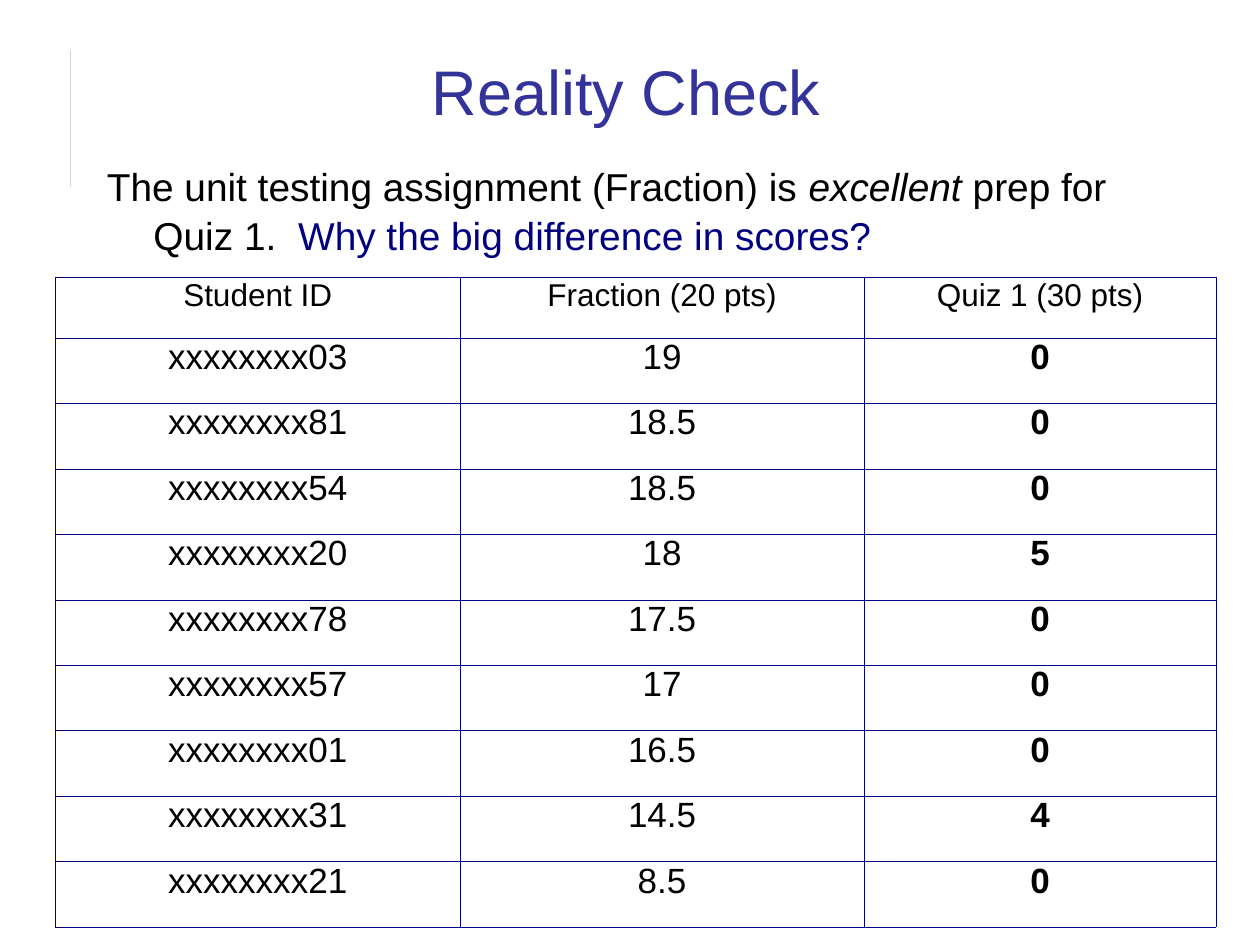
"""Build the Reality Check slide with its table of student scores."""
import pptx
import pptx.util
import pptx.dml.color
import pptx.enum.shapes
import pptx.enum.text
import pptx.oxml.ns
import lxml.etree

Inches = pptx.util.Inches
Pt = pptx.util.Pt
RGBColor = pptx.dml.color.RGBColor
Align = pptx.enum.text.PP_ALIGN
Anchor = pptx.enum.text.MSO_ANCHOR
qn = pptx.oxml.ns.qn

BLACK = RGBColor(0x00, 0x00, 0x00)
NAVY = RGBColor(0x00, 0x00, 0x80)
INDIGO = RGBColor(0x33, 0x33, 0x99)
GRAY = RGBColor(0x80, 0x80, 0x80)


def add_run(para, text, size, color=BLACK, bold=False, italic=False):
    run = para.add_run()
    run.text = text
    font = run.font
    font.name = "Arial"
    font.size = Pt(size)
    font.color.rgb = color
    font.bold = bold
    font.italic = italic


def add_edge(cell, side):
    props = cell._tc.get_or_add_tcPr()
    edge = lxml.etree.SubElement(props, qn(f"a:ln{side}"), w=str(Pt(0.06)))
    fill = lxml.etree.SubElement(edge, qn("a:solidFill"))
    lxml.etree.SubElement(fill, qn("a:srgbClr"), val=str(NAVY))


deck = pptx.Presentation()
deck.slide_width = Inches(10)
deck.slide_height = Inches(7.5)
slide = deck.slides.add_slide(deck.slide_layouts[6])
shapes = slide.shapes

rule = shapes.add_shape(
    pptx.enum.shapes.MSO_SHAPE.RECTANGLE,
    Inches(0.56), Inches(0.4), Inches(0), Inches(1.08))
rule.shadow.inherit = False
rule.fill.solid()
rule.fill.fore_color.rgb = GRAY
rule.line.fill.background()

title = shapes.add_textbox(
    Inches(0.67), Inches(0.28), Inches(8.6), Inches(0.88)).text_frame
title.word_wrap = True
title.vertical_anchor = Anchor.MIDDLE
para = title.paragraphs[0]
para.alignment = Align.CENTER
add_run(para, "Reality Check", 36, INDIGO)

body = shapes.add_textbox(
    Inches(0.74), Inches(1.22), Inches(8.6), Inches(0.88)).text_frame
body.word_wrap = True
para = body.paragraphs[0]
para.line_spacing = 1.05
props = para._p.get_or_add_pPr()
props.set("marL", str(Inches(0.38)))
props.set("indent", str(Inches(-0.37)))
add_run(para, "The unit testing assignment (Fraction) is ", 22.2)
add_run(para, "excellent", 22.2, italic=True)
add_run(para, " prep for Quiz 1.  ", 22.2)
add_run(para, "Why the big difference in scores?", 22.2, NAVY)

scores = [
    ("Student ID", "Fraction (20 pts)", "Quiz 1 (30 pts)"),
    ("xxxxxxxx03", "19", "0"),
    ("xxxxxxxx81", "18.5", "0"),
    ("xxxxxxxx54", "18.5", "0"),
    ("xxxxxxxx20", "18", "5"),
    ("xxxxxxxx78", "17.5", "0"),
    ("xxxxxxxx57", "17", "0"),
    ("xxxxxxxx01", "16.5", "0"),
    ("xxxxxxxx31", "14.5", "4"),
    ("xxxxxxxx21", "8.5", "0"),
]
table = shapes.add_table(
    len(scores), 3, Inches(0.44), Inches(2.2), Inches(9.2), Inches(5.16)).table
table.first_row = False
table.horz_banding = False
for col, width in zip(table.columns, (3.21, 3.21, 2.79)):
    col.width = Inches(width)

for r, row in enumerate(scores):
    table.rows[r].height = Inches(0.52 if r else 0.48)
    for c, text in enumerate(row):
        cell = table.cell(r, c)
        for side in "LRTB":
            add_edge(cell, side)
        cell.fill.background()
        para = cell.text_frame.paragraphs[0]
        para.alignment = Align.CENTER
        para.line_spacing = 0.81
        add_run(para, text, 20 if r else 18, bold=r > 0 and c == 2)

deck.save("out.pptx")
